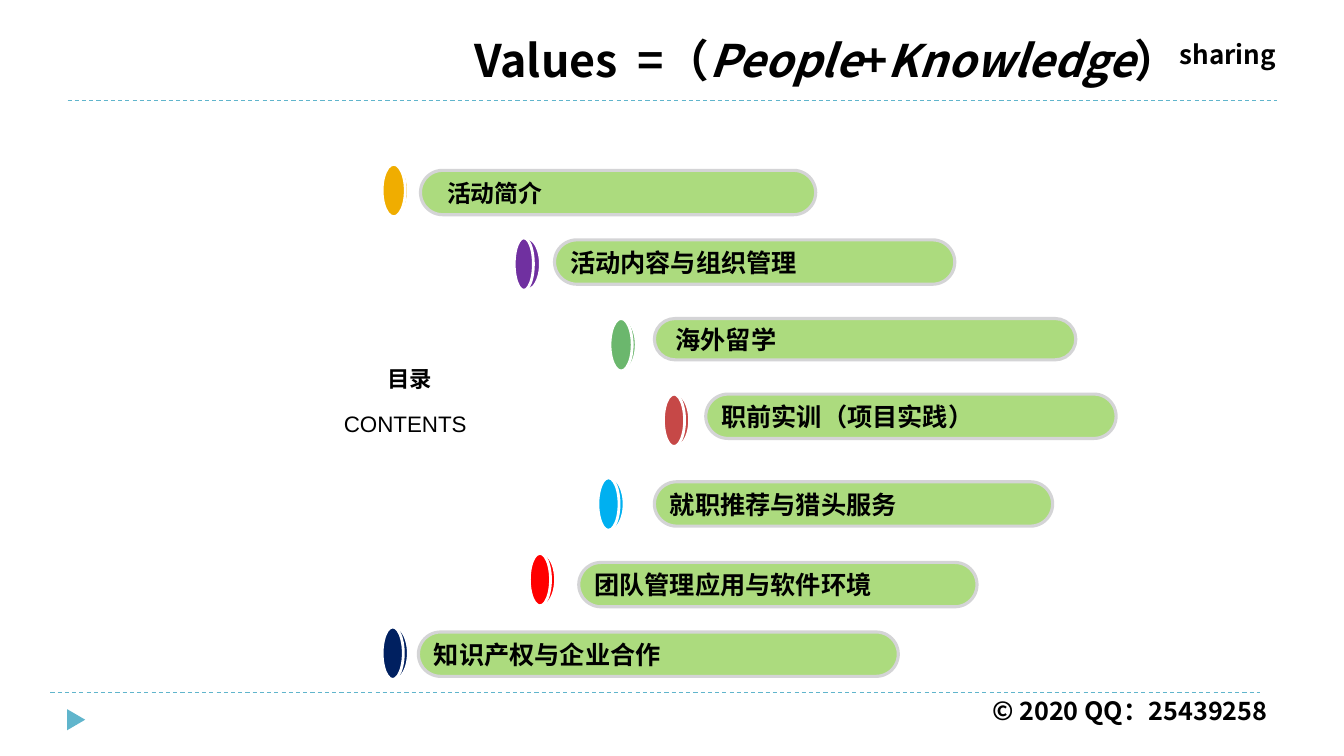
from dataclasses import dataclass
from lxml import etree
from pptx import Presentation
from pptx.dml.color import RGBColor
from pptx.enum.dml import MSO_LINE
from pptx.enum.shapes import MSO_CONNECTOR, MSO_SHAPE
from pptx.enum.text import MSO_ANCHOR, PP_ALIGN
from pptx.oxml.ns import qn
from pptx.util import Inches, Pt


@dataclass(frozen=True)
class Theme:
    ink: str = "000000"
    white: str = "FFFFFF"
    accent: str = "60B5CC"
    bar: str = "ACDB7E"
    bar_edge: str = "D4D4D6"
    latin: str = "Arial"
    cjk: str = "Noto Sans CJK SC"
    title: int = 32
    body: int = 18
    intro: int = 17
    label: int = 16


theme = Theme()
deck = Presentation()
deck.slide_width, deck.slide_height = Inches(13.33), Inches(7.5)
page = deck.slides.add_slide(deck.slide_layouts[6])


def write(box, runs, size, font, bold=True, align=PP_ALIGN.LEFT, inset=(0.1, 0.05), indent=0):
    frame = box.text_frame
    layout = {
        "word_wrap": True,
        "margin_left": Inches(inset[0] + indent),
        "margin_right": Inches(inset[0]),
        "margin_top": Inches(inset[1]),
        "margin_bottom": Inches(inset[1]),
    }
    for name, value in layout.items():
        setattr(frame, name, value)
    para = frame.paragraphs[0]
    para.alignment = align
    for text, italic, extra in runs:
        span = para.add_run()
        span.text = text
        for name, value in {"size": Pt(size), "name": font, "bold": bold, "italic": italic}.items():
            setattr(span.font, name, value)
        span.font.color.rgb = RGBColor.from_string(theme.ink)
        props = span.font._element
        etree.SubElement(props, qn("a:ea")).set("typeface", theme.cjk)
        for name, value in extra.items():
            props.set(name, value)


def draw(kind, left, top, width, height, fill, edge=None, weight=0):
    shape = page.shapes.add_shape(kind, Inches(left), Inches(top), Inches(width), Inches(height))
    shape.shadow.inherit = False
    shape.fill.solid()
    shape.fill.fore_color.rgb = RGBColor.from_string(fill)
    if edge:
        shape.line.color.rgb = RGBColor.from_string(edge)
        shape.line.width = Pt(weight)
    else:
        shape.line.fill.background()
    return shape


for left, top in ((0.67, 1), (0.5, 6.87)):
    rule = page.shapes.add_connector(
        MSO_CONNECTOR.STRAIGHT, Inches(left), Inches(top), Inches(left + 12), Inches(top))
    rule.line.color.rgb = RGBColor.from_string(theme.accent)
    rule.line.width = Pt(0.75)
    rule.line.dash_style = MSO_LINE.DASH
    etree.SubElement(rule._element.spPr, qn("a:effectLst"))

marker = draw(MSO_SHAPE.ISOSCELES_TRIANGLE, 0.65, 7.05, 0.21, 0.18, theme.accent)
marker.rotation = 90

small = (0.09, 0.04)
title_runs = [
    ("Values", False, {}),
    (" ", False, {"spc": "700"}),
    ("=（", False, {}),
    ("People", True, {}),
    ("+", False, {}),
    ("Knowledge", True, {}),
    ("）", False, {}),
    ("sharing", False, {"baseline": "30000"}),
]
texts = [
    ((6.42, 6.85, 6.25, 0.4), [("© 2020 QQ：25439258", False, {})],
     dict(size=theme.body, font=theme.cjk, align=PP_ALIGN.RIGHT)),
    ((3.32, 4.03, 1.9, 0.36), [("CONTENTS", False, {})],
     dict(size=theme.label, font=theme.latin, bold=False, inset=small)),
    ((3.75, 3.58, 1.05, 0.36), [("目录", False, {})],
     dict(size=theme.label, font=theme.latin, inset=small)),
    ((3.77, 0.28, 8.98, 0.64), title_runs,
     dict(size=theme.title, font=theme.cjk, align=PP_ALIGN.RIGHT)),
]
for (left, top, width, height), runs, style in texts:
    box = page.shapes.add_textbox(Inches(left), Inches(top), Inches(width), Inches(height))
    write(box, runs, **style)

# text, bar (left, top, width, height), indent, disc (left, top), disc colour, front widths
entries = [
    ("活动简介", (4.17, 1.69, 3.92, 0.44), 0.11, (3.77, 1.63), "F0AD00", (0.22, 0.23)),
    ("活动内容与组织管理", (5.5, 2.38, 3.97, 0.44), 0, (5.08, 2.36), "7030A0", (0.19,)),
    ("海外留学", (6.49, 3.16, 4.18, 0.41), 0.06, (6.03, 3.16), "6BB76D", (0.22,)),
    ("职前实训（项目实践）", (7, 3.91, 4.07, 0.44), 0, (6.56, 3.91), "C64847", (0.21,)),
    ("就职推荐与猎头服务", (6.49, 4.78, 3.95, 0.44), 0, (5.91, 4.74), "00B0F0", (0.21,)),
    ("团队管理应用与软件环境", (5.74, 5.58, 3.95, 0.44), 0, (5.23, 5.49), "FF0000", (0.21,)),
    ("知识产权与企业合作", (4.15, 6.27, 4.76, 0.44), 0, (3.77, 6.22), "002060", (0.21,)),
]
for order, (text, place, indent, (left, top), colour, fronts) in enumerate(entries):
    discs = [
        (-0.03, 0.1, fronts[0] * 1.5, 0.33),
        (-0.02, 0.12, fronts[0] * 1.3, 0.29),
        (0, 0, 0.28, 0.52),
    ] + [(0.02, 0, front, 0.52) for front in fronts]
    for across, down, width, height in discs:
        draw(MSO_SHAPE.OVAL, left + across, top + down, width, height, colour, theme.white, 2)
    bar = draw(MSO_SHAPE.ROUNDED_RECTANGLE, *place, theme.bar, theme.bar_edge, 2.25)
    bar.adjustments[0] = 0.5
    bar.text_frame.vertical_anchor = MSO_ANCHOR.MIDDLE
    size, font = (theme.body, theme.latin) if order else (theme.intro, theme.cjk)
    write(bar, [(text, False, {})], size, font, inset=small, indent=indent)

deck.save("out.pptx")
